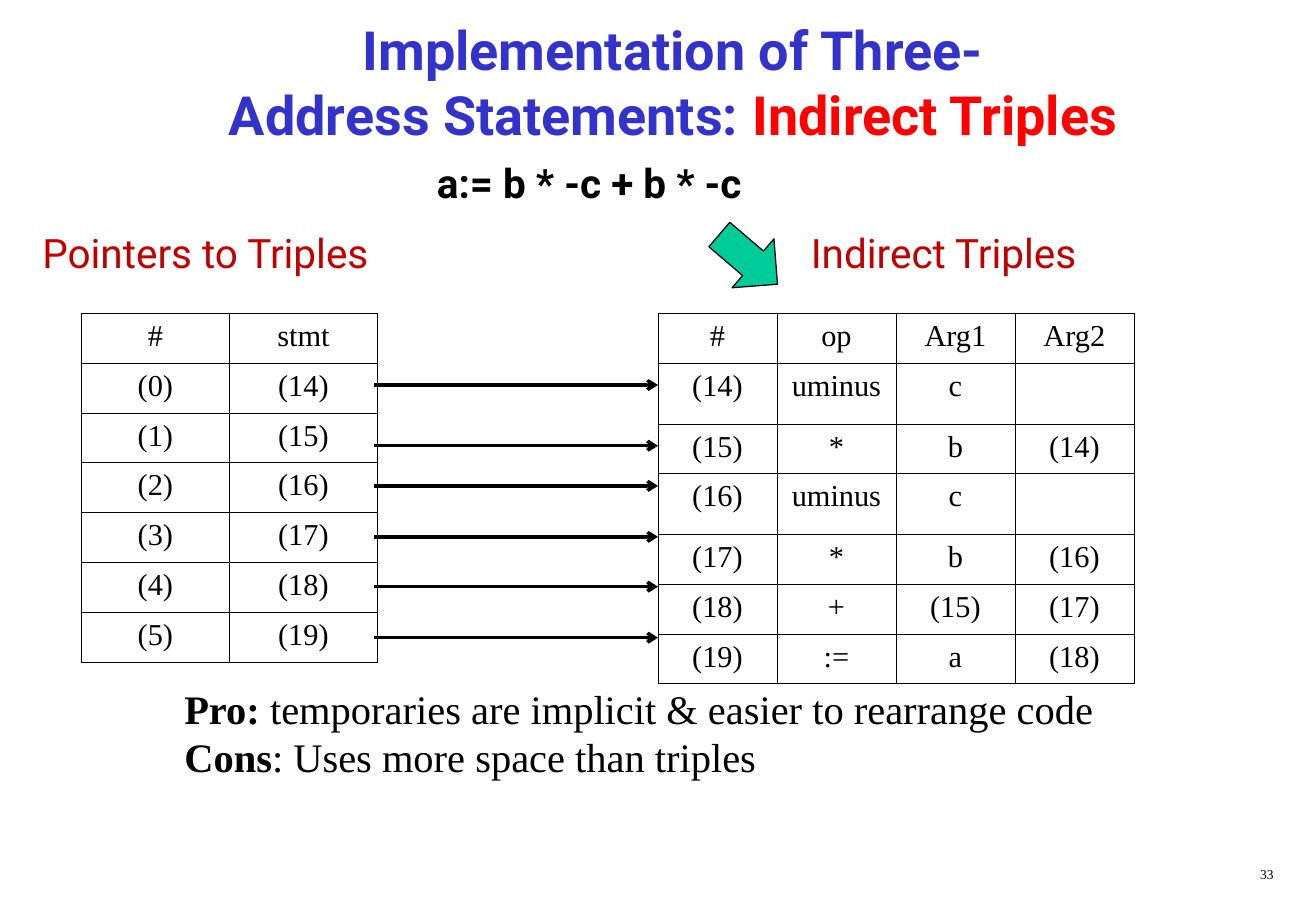
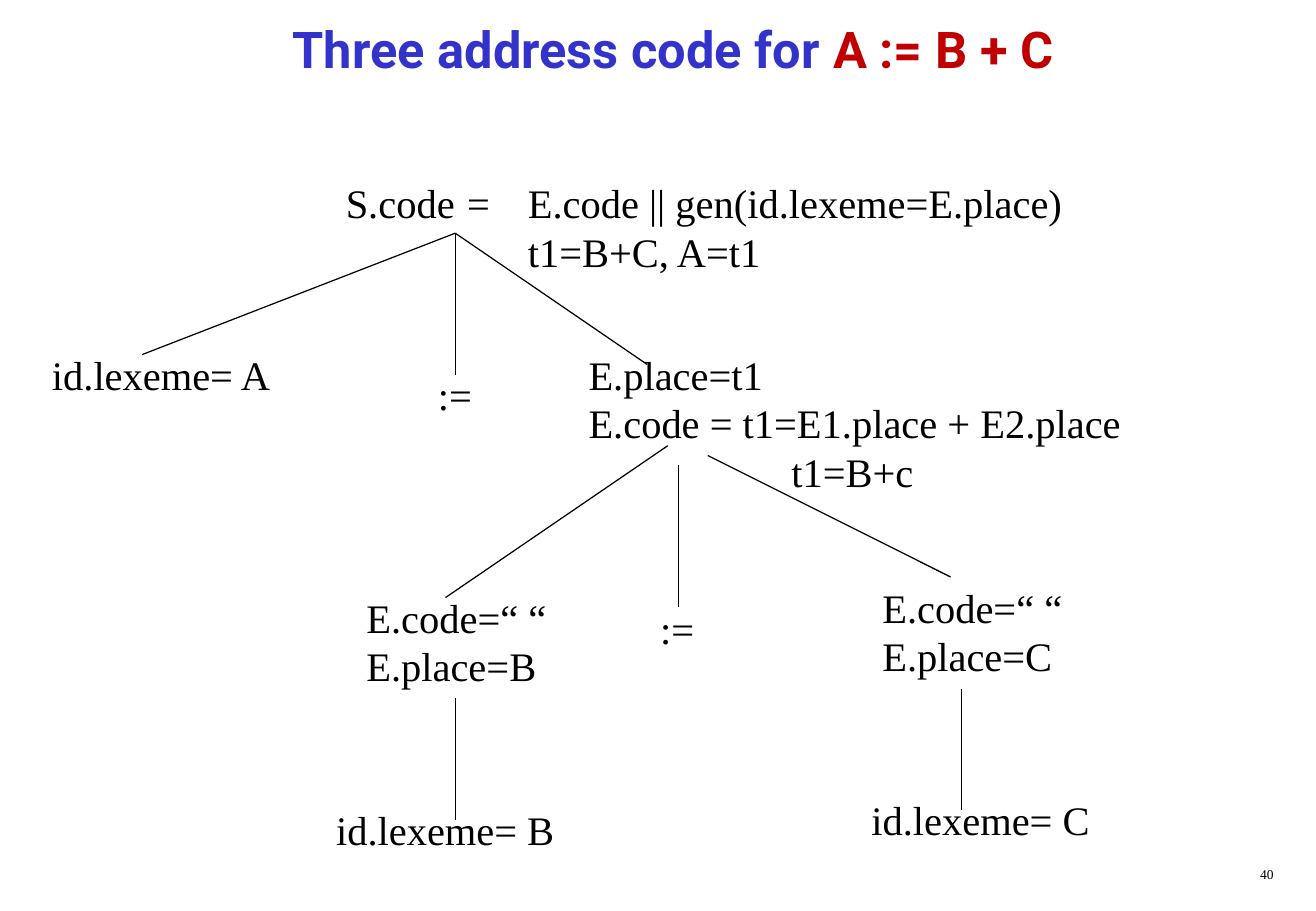
from pptx import Presentation, util as u
from pptx.dml import color
from pptx.enum import shapes, text
from pptx.oxml import ns
from lxml import etree

COLORS = {
    "title": "3333CC",
    "accent": "FF0000",
    "heading": "C00000",
    "ink": "000000",
    "paper": "FFFFFF",
    "arrow": "00CC99",
}
SERIF = "Times New Roman"
SANS = "Roboto"
LEFT, CENTER, RIGHT = text.PP_ALIGN.LEFT, text.PP_ALIGN.CENTER, text.PP_ALIGN.RIGHT


def rgb(name):
    return color.RGBColor.from_string(COLORS[name])


def child(parent, tag, **attrs):
    return etree.SubElement(parent, ns.qn(tag), {k: str(v) for k, v in attrs.items()})


def add_run(p, content, size=24, font=SERIF, ink="ink", bold=False):
    r = p.add_run()
    r.text = content
    r.font.size = u.Pt(size)
    r.font.name = font
    r.font.bold = bold
    r.font.color.rgb = rgb(ink)


def add_text(s, x, y, w, h, *lines, align=LEFT, anchor=text.MSO_ANCHOR.TOP,
             indents=(), tabs=(), **style):
    tf = s.shapes.add_textbox(u.Inches(x), u.Inches(y), u.Inches(w), u.Inches(h)).text_frame
    tf.word_wrap = True
    tf.vertical_anchor = anchor
    for i, line in enumerate(lines):
        p = tf.paragraphs[0] if i == 0 else tf.add_paragraph()
        p.alignment = align
        pPr = p._p.get_or_add_pPr()
        if i < len(indents):
            pPr.set("marL", str(u.Inches(indents[i])))
            pPr.set("indent", "0")
        if tabs and i == 0:
            stops = child(pPr, "a:tabLst")
            for pos in tabs:
                child(stops, "a:tab", pos=u.Inches(pos), algn="l")
        for content, changes in [(line, {})] if isinstance(line, str) else line:
            if content == "\n":
                p.add_line_break()
            else:
                add_run(p, content, **{**style, **changes})


def add_title(s, height, size, *runs):
    add_text(s, 0.42, 0.17, 10.25, height, runs, align=CENTER,
             anchor=text.MSO_ANCHOR.MIDDLE, size=size, font=SANS, ink="title", bold=True)


def add_line(s, x1, y1, x2, y2, width=0.75, arrow=False):
    sp = s.shapes.add_connector(shapes.MSO_CONNECTOR.STRAIGHT,
                                *(u.Inches(v) for v in (x1, y1, x2, y2)))
    sp.line.width = u.Pt(width)
    sp.line.color.rgb = rgb("ink")
    if arrow:
        child(sp.line._get_or_add_ln(), "a:tailEnd", type="arrow")
    child(sp._element.spPr, "a:effectLst")


def add_block_arrow(s, x, y, w, h, rotation):
    sp = s.shapes.add_shape(shapes.MSO_SHAPE.LEFT_ARROW,
                            *(u.Inches(v) for v in (x, y, w, h)))
    sp.rotation = rotation
    sp.shadow.inherit = False
    sp.fill.solid()
    sp.fill.fore_color.rgb = rgb("arrow")
    sp.line.color.rgb = rgb("ink")
    sp.line.width = u.Pt(0.75)


def format_cell(cell, content):
    p = cell.text_frame.paragraphs[0]
    p.alignment = CENTER
    if content:
        add_run(p, content, size=18)
    tcPr = cell._tc.get_or_add_tcPr()
    for side in "LRTB":
        ln = child(tcPr, f"a:ln{side}", w=u.Pt(0.45))
        child(child(ln, "a:solidFill"), "a:srgbClr", val=COLORS["ink"])
    cell.fill.solid()
    cell.fill.fore_color.rgb = rgb("paper")


def add_grid(s, x, y, col_width, rows):
    heights = [0.5 if "" in row else 0.41 for row in rows]
    cols = len(rows[0])
    tbl = s.shapes.add_table(len(rows), cols, u.Inches(x), u.Inches(y),
                             u.Inches(col_width * cols), u.Inches(sum(heights))).table
    tbl.first_row = tbl.horz_banding = False
    for col in tbl.columns:
        col.width = u.Inches(col_width)
    for i, row in enumerate(rows):
        tbl.rows[i].height = u.Inches(heights[i])
        for j, content in enumerate(row):
            format_cell(tbl.cell(i, j), content)


def new_slide(prs, number):
    s = prs.slides.add_slide(prs.slide_layouts[6])
    add_text(s, 8.33, 7.08, 2.26, 0.25, number, align=RIGHT, size=8)
    return s


def indirect_triples(prs):
    s = new_slide(prs, "33")
    add_title(s, 1, 32, ("Implementation of Three-", {}), ("\n", {}),
              ("Address Statements: ", {}), ("Indirect Triples", {"ink": "accent"}))
    add_text(s, 3.5, 1.25, 3.92, 0.5, "a:= b * -c + b * -c", font=SANS, bold=True)
    add_block_arrow(s, 5.85, 1.87, 0.63, 0.53, 220.5)
    for x, heading in ((0.25, "Pointers to Triples"), (6.58, "Indirect Triples")):
        add_text(s, x, 1.83, 4.08, 0.5, heading, font=SANS, ink="heading")

    pointers = [(f"({i})", f"({i + 14})") for i in range(6)]
    add_grid(s, 0.67, 2.58, 1.22, [("#", "stmt")] + pointers)
    add_grid(s, 5.42, 2.58, 0.98, [
        ("#", "op", "Arg1", "Arg2"),
        ("(14)", "uminus", "c", ""),
        ("(15)", "*", "b", "(14)"),
        ("(16)", "uminus", "c", ""),
        ("(17)", "*", "b", "(16)"),
        ("(18)", "+", "(15)", "(17)"),
        ("(19)", ":=", "a", "(18)"),
    ])
    for y in (3.17, 3.67, 4, 4.42, 4.83, 5.25):
        add_line(s, 3.08, y, 5.42, y, width=2, arrow=True)
    bold = {"bold": True}
    add_text(s, 1.42, 5.58, 8.83, 0.9,
             [("Pro: ", bold), ("temporaries are implicit & easier to rearrange code", {})],
             [("Cons", bold), (": Uses more space than triples", {})])


def syntax_tree(prs):
    s = new_slide(prs, "40")
    add_title(s, 0.45, 30, ("Three address code for ", {}),
              ("A := B + C", {"ink": "heading"}))
    add_text(s, 2.75, 1.42, 7, 0.9, "S.code\t=\tE.code || gen(id.lexeme=E.place)",
             "t1=B+C, A=t1", indents=(0, 1.5), tabs=(1.15, 1.67))
    add_text(s, 4.75, 2.83, 5.16, 1.3, "E.place=t1", "E.code = t1=E1.place + E2.place",
             "t1=B+c", indents=(0, 0, 1.67))
    for x, y, *lines in (
        (0.33, 2.83, "id.lexeme= A"),
        (3.51, 3, ":="),
        (2.92, 4.83, "E.code=“ “", "E.place=B"),
        (5.34, 4.92, ":="),
        (7.17, 4.75, "E.code=“ “", "E.place=C"),
        (2.67, 6.58, "id.lexeme= B"),
        (7.08, 6.5, "id.lexeme= C"),
    ):
        add_text(s, x, y, 2.17, 0.1 + 0.4 * len(lines), *lines)
    for branch in (
        (3.75, 1.92, 1.17, 2.92),
        (3.75, 1.92, 3.75, 3.09),
        (3.75, 1.92, 5.33, 3),
        (5.5, 3.67, 3.67, 4.92),
        (5.59, 3.83, 5.59, 5),
        (5.83, 3.75, 7.83, 4.75),
        (3.75, 5.75, 3.75, 6.75),
        (7.92, 5.67, 7.92, 6.67),
    ):
        add_line(s, *branch)


def main():
    prs = Presentation()
    prs.slide_width, prs.slide_height = u.Inches(10.84), u.Inches(7.5)
    indirect_triples(prs)
    syntax_tree(prs)
    prs.save("out.pptx")


if __name__ == "__main__":
    main()
